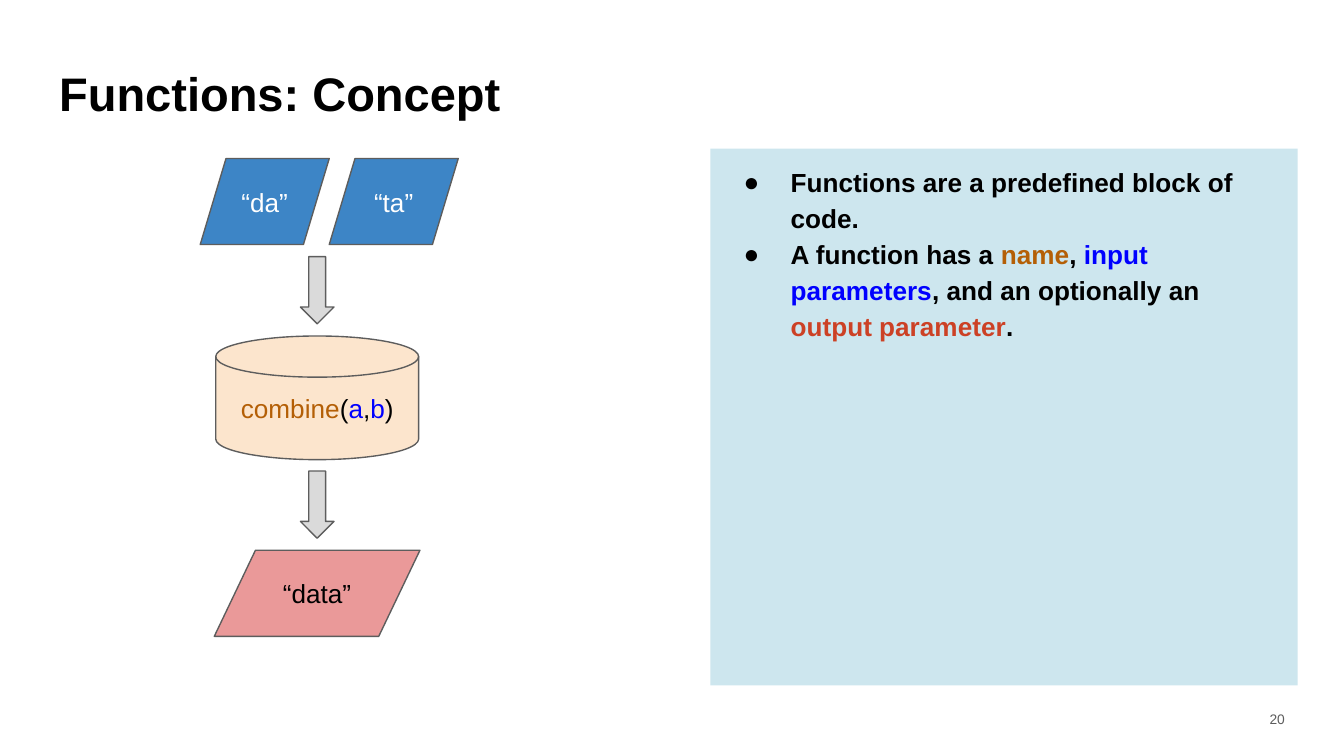
from dataclasses import dataclass
from typing import NamedTuple

from lxml.etree import SubElement
from pptx import Presentation
from pptx.dml.color import RGBColor
from pptx.enum.shapes import MSO_SHAPE as Shape
from pptx.enum.text import MSO_ANCHOR as Anchor, MSO_AUTO_SIZE as AutoSize, PP_ALIGN as Align
from pptx.oxml.ns import qn
from pptx.util import Emu, Pt

EMU_PER_PX = 4572
BLACK, WHITE, GREY = "000000", "FFFFFF", "5D5D5D"
NAME, INPUT, OUTPUT = "B45F06", "0000FF", "CC4125"


class Box(NamedTuple):
    left: int
    top: int
    width: int
    height: int


class Run(NamedTuple):
    text: str
    color: str = BLACK


@dataclass(frozen=True)
class Step:
    kind: Shape
    box: Box
    fill: str
    label: tuple[Run, ...] = ()


def px(length: int) -> Emu:
    return Emu(length * EMU_PER_PX)


def rgb(value: str) -> RGBColor:
    return RGBColor.from_string(value)


def apply(target, values: dict) -> None:
    for attribute, value in values.items():
        setattr(target, attribute, value)


def place(shape, box: Box) -> None:
    apply(shape, {side: px(length) for side, length in box._asdict().items()})


def paint(shape, fill: str) -> None:
    shape.shadow.inherit = False
    shape.fill.solid()
    shape.fill.fore_color.rgb = rgb(fill)


def prepare(frame, anchor: Anchor) -> None:
    margins = {f"margin_{side}": px(20) for side in ("left", "top", "right", "bottom")}
    apply(frame, {"word_wrap": True, "auto_size": AutoSize.NONE,
                  "vertical_anchor": anchor, **margins})


def write(paragraph, runs: tuple[Run, ...], size: float, align: Align,
          bold: bool = False, spacing: float = 1.0) -> None:
    apply(paragraph, {"alignment": align, "line_spacing": spacing,
                      "space_before": Pt(0), "space_after": Pt(0)})
    for text, color in runs:
        run = paragraph.add_run()
        run.text = text
        apply(run.font, {"name": "Arial", "size": Pt(size), "bold": bold})
        run.font.color.rgb = rgb(color)


def add_bullet(paragraph) -> None:
    properties = paragraph._p.get_or_add_pPr()
    properties.set("marL", str(px(100)))
    properties.set("indent", str(px(-70)))
    bullet_color = SubElement(properties, qn("a:buClr"))
    SubElement(bullet_color, qn("a:srgbClr"), val=BLACK)
    SubElement(properties, qn("a:buFont"), typeface="Arial")
    SubElement(properties, qn("a:buChar"), char="●")


def draw_step(slide, step: Step) -> None:
    shape = slide.shapes.add_shape(step.kind, *map(px, step.box))
    paint(shape, step.fill)
    shape.line.color.rgb = rgb(GREY)
    shape.line.width = Pt(0.75)
    if step.label:
        prepare(shape.text_frame, Anchor.MIDDLE)
        write(shape.text_frame.paragraphs[0], step.label, 14, Align.CENTER)


def draw_concepts(slide, box: Box, concepts: tuple[tuple[Run, ...], ...]) -> None:
    panel = slide.shapes.add_shape(Shape.RECTANGLE, *map(px, box))
    paint(panel, "CDE6EE")
    panel.line.fill.background()
    frame = panel.text_frame
    prepare(frame, Anchor.TOP)
    for index, runs in enumerate(concepts):
        paragraph = frame.add_paragraph() if index else frame.paragraphs[0]
        write(paragraph, runs, 14, Align.LEFT, bold=True, spacing=1.15)
        add_bullet(paragraph)


CONCEPTS = (
    (Run("Functions are a predefined block of code."),),
    (Run("A function has a "), Run("name", NAME), Run(", "),
     Run("input parameters", INPUT), Run(", and an optionally an "),
     Run("output parameter", OUTPUT), Run(".")),
)
CALL = (Run("combine", NAME), Run("("), Run("a", INPUT), Run(","),
        Run("b", INPUT), Run(")"))
INPUTS = [
    Step(Shape.FLOWCHART_DATA, Box(298 + 192 * index, 236, 192, 128), "3D85C6",
         (Run(text, WHITE),))
    for index, text in enumerate(("“da”", "“ta”"))
]
ARROWS = [Step(Shape.DOWN_ARROW, Box(447, top, 50, 100), "DADADA") for top in (382, 701)]
FLOW = [
    Step(Shape.FLOWCHART_MAGNETIC_DISK, Box(321, 500, 302, 184), "FCE5CD", CALL),
    *INPUTS,
    *ARROWS,
    Step(Shape.FLOWCHART_DATA, Box(319, 819, 306, 128), "EA9999", (Run("“data”"),)),
]


def main() -> None:
    deck = Presentation()
    apply(deck, {"slide_width": px(2000), "slide_height": px(1125)})
    slide = deck.slides.add_slide(deck.slide_layouts[5])

    title = slide.shapes.title
    place(title, Box(68, 75, 1782, 126))
    prepare(title.text_frame, Anchor.MIDDLE)
    write(title.text_frame.paragraphs[0], (Run("Functions: Concept"),), 25.2,
          Align.LEFT, bold=True)

    page_number = slide.shapes.add_textbox(*map(px, Box(1852, 1043, 80, 60)))
    prepare(page_number.text_frame, Anchor.MIDDLE)
    write(page_number.text_frame.paragraphs[0], (Run("20", GREY),), 7.4,
          Align.RIGHT, spacing=0.8)

    draw_concepts(slide, Box(1057, 221, 874, 799), CONCEPTS)
    for step in FLOW:
        draw_step(slide, step)
    deck.save("out.pptx")


if __name__ == "__main__":
    main()
